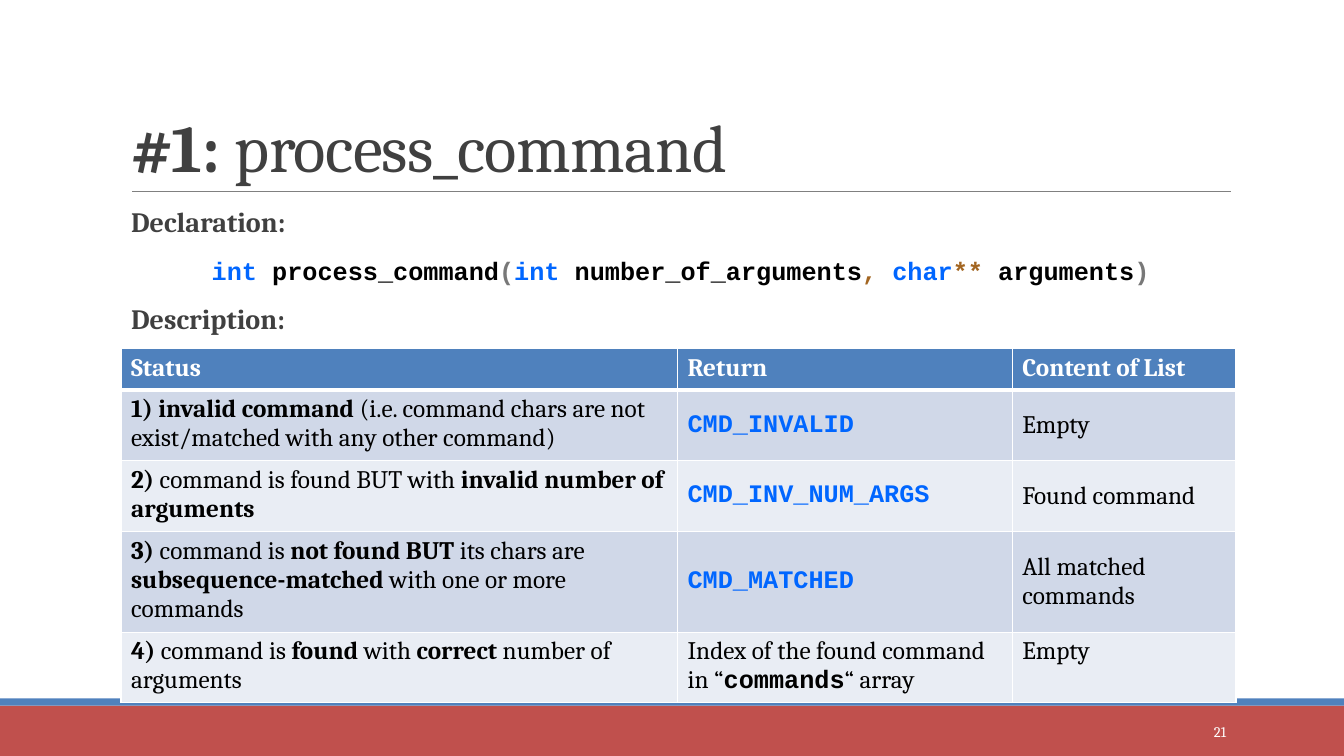
from dataclasses import dataclass

from lxml.etree import SubElement
from pptx import Presentation
from pptx.dml.color import RGBColor
from pptx.enum.shapes import MSO_CONNECTOR, MSO_SHAPE
from pptx.enum.text import MSO_ANCHOR as Anchor, MSO_AUTO_SIZE, PP_ALIGN as Align
from pptx.oxml.ns import qn
from pptx.util import Inches, Pt


@dataclass(frozen=True)
class Theme:
    serif: str = "Cambria"
    mono: str = "Courier New"
    white: str = "FFFFFF"
    black: str = "000000"
    dark: str = "404040"
    rule: str = "808080"
    blue: str = "4F81BD"
    red: str = "C0504D"
    keyword: str = "0066FF"
    operator: str = "A36622"
    bracket: str = "787878"
    bands: tuple = ("D0D8E8", "E9EDF4")
    title_size: float = 48
    label_size: float = 20
    text_size: float = 18
    number_size: float = 10.5


THEME = Theme()

# Run styles: font, colour, bold
HEADING = (THEME.serif, THEME.dark, True)
HEADING_PLAIN = (THEME.serif, THEME.dark, False)
HEADER = (THEME.serif, THEME.white, True)
NUMBER = (THEME.serif, THEME.white, False)
STRONG = (THEME.serif, THEME.black, True)
PLAIN = (THEME.serif, THEME.black, False)
KEYWORD = (THEME.mono, THEME.keyword, True)
NAME = (THEME.mono, THEME.black, True)
OPERATOR = (THEME.mono, THEME.operator, True)
BRACKET = (THEME.mono, THEME.bracket, True)

TITLE = [("#1: ", HEADING), ("process_command", HEADING_PLAIN)]
PAGE_NUMBER = [("21", NUMBER)]

DECLARATION = [
    ("int ", KEYWORD), ("process_command", NAME), ("(", BRACKET),
    ("int ", KEYWORD), ("number_of_arguments", NAME), (", ", OPERATOR),
    ("char", KEYWORD), ("**", OPERATOR), (" arguments", NAME), (")", BRACKET),
]
BODY = [  # runs, size, alignment
    ([("Declaration:", HEADING)], THEME.label_size, Align.LEFT),
    (DECLARATION, THEME.text_size, Align.CENTER),
    ([("Description:", HEADING)], THEME.label_size, Align.LEFT),
]

STATUS_ROWS = [
    [[("Status", HEADER)], [("Return", HEADER)], [("Content of List", HEADER)]],
    [[("1) invalid command ", STRONG),
      ("(i.e. command chars are not exist/matched with any other command)", PLAIN)],
     [("CMD_INVALID", KEYWORD)],
     [("Empty", PLAIN)]],
    [[("2) ", STRONG), ("command is found BUT with ", PLAIN),
      ("invalid number of arguments", STRONG)],
     [("CMD_INV_NUM_ARGS", KEYWORD)],
     [("Found command", PLAIN)]],
    [[("3) ", STRONG), ("command is ", PLAIN), ("not found BUT", STRONG),
      (" its chars are ", PLAIN), ("subsequence-matched ", STRONG),
      ("with one or more commands", PLAIN)],
     [("CMD_MATCHED", KEYWORD)],
     [("All matched commands", PLAIN)]],
    [[("4) ", STRONG), ("command is ", PLAIN), ("found", STRONG),
      (" with ", PLAIN), ("correct", STRONG), (" number of arguments", PLAIN)],
     [("Index of the found command in “", PLAIN), ("commands", NAME),
      ("“ array", PLAIN)],
     [("Empty", PLAIN)]],
]
COLUMN_WIDTHS = (5.52, 3.32, 2.22)
ROW_HEIGHTS = (0.41, 0.67, 0.68, 0.97, 0.68)
LEFT = 1.2


def rgb(color):
    return RGBColor.from_string(color)


def add_runs(paragraph, runs, size):
    for text, (font_name, color, bold) in runs:
        run = paragraph.add_run()
        run.text = text
        run.font.name = font_name
        run.font.size = Pt(size)
        run.font.bold = bold
        run.font.color.rgb = rgb(color)


def place(shape, left, top, width, height):
    shape.left, shape.top = Inches(left), Inches(top)
    shape.width, shape.height = Inches(width), Inches(height)


def add_band(slide, top, height, color):
    band = slide.shapes.add_shape(
        MSO_SHAPE.RECTANGLE, 0, Inches(top), Inches(13.33), Inches(height))
    band.shadow.inherit = False
    band.fill.solid()
    band.fill.fore_color.rgb = rgb(color)
    band.line.fill.background()


def add_title_rule(slide):
    rule = slide.shapes.add_connector(
        MSO_CONNECTOR.STRAIGHT, Inches(1.31), Inches(1.9), Inches(12.21), Inches(1.9))
    rule.line.color.rgb = rgb(THEME.rule)
    rule.line.width = Pt(0.5)
    SubElement(rule.element.spPr, qn("a:effectLst"))


def fill_title(title):
    place(title, LEFT, 0.31, 11, 1.59)
    frame = title.text_frame
    frame.auto_size = MSO_AUTO_SIZE.NONE
    frame.vertical_anchor = Anchor.BOTTOM
    paragraph = frame.paragraphs[0]
    paragraph.alignment = Align.LEFT
    paragraph.line_spacing = 0.85
    add_runs(paragraph, TITLE, THEME.title_size)
    for run in paragraph.runs:
        run.font._element.set("spc", "-50")


def fill_body(body):
    place(body, LEFT, 2.02, 11, 4.91)
    frame = body.text_frame
    frame.auto_size = MSO_AUTO_SIZE.NONE
    frame.margin_left = frame.margin_right = 0
    for index, (runs, size, alignment) in enumerate(BODY):
        paragraph = frame.add_paragraph() if index else frame.paragraphs[0]
        paragraph.alignment = alignment
        paragraph.line_spacing = 0.9
        paragraph.space_before, paragraph.space_after = Pt(12), Pt(2)
        properties = paragraph._p.get_or_add_pPr()
        properties.set("marL", str(Inches(0.1)))
        properties.set("indent", "0")
        SubElement(properties, qn("a:buNone"))
        add_runs(paragraph, runs, size)


def set_borders(cell, bottom_width):
    """Draw white lines on all four sides, before the fill is set."""
    properties = cell._tc.get_or_add_tcPr()
    for side, width in (("L", 1), ("R", 1), ("T", 1), ("B", bottom_width)):
        line = SubElement(properties, qn(f"a:ln{side}"), w=str(Pt(width)))
        SubElement(SubElement(line, qn("a:solidFill")), qn("a:srgbClr"), val=THEME.white)


def add_status_table(slide):
    table = slide.shapes.add_table(
        len(ROW_HEIGHTS), len(COLUMN_WIDTHS), Inches(LEFT), Inches(3.46),
        Inches(sum(COLUMN_WIDTHS)), Inches(sum(ROW_HEIGHTS))).table
    for column, width in zip(table.columns, COLUMN_WIDTHS):
        column.width = Inches(width)
    last = len(STATUS_ROWS) - 1
    for r, status_row in enumerate(STATUS_ROWS):
        table.rows[r].height = Inches(ROW_HEIGHTS[r])
        for c, runs in enumerate(status_row):
            cell = table.cell(r, c)
            set_borders(cell, 1 if r else 3)
            cell.fill.solid()
            cell.fill.fore_color.rgb = rgb(THEME.bands[(r - 1) % 2] if r else THEME.blue)
            centred = c > 0 and 0 < r < last
            cell.vertical_anchor = Anchor.MIDDLE if centred else Anchor.TOP
            add_runs(cell.text_frame.paragraphs[0], runs, THEME.text_size)


def add_page_number(slide):
    frame = slide.shapes.add_textbox(
        Inches(10.83), Inches(7.06), Inches(1.43), Inches(0.4)).text_frame
    frame.word_wrap = True
    frame.vertical_anchor = Anchor.MIDDLE
    frame.paragraphs[0].alignment = Align.RIGHT
    add_runs(frame.paragraphs[0], PAGE_NUMBER, THEME.number_size)


def main():
    deck = Presentation()
    deck.slide_width, deck.slide_height = Inches(13.33), Inches(7.5)
    slide = deck.slides.add_slide(deck.slide_layouts[1])
    add_band(slide, 7, 0.5, THEME.red)
    add_band(slide, 6.93, 0.07, THEME.blue)
    add_title_rule(slide)
    fill_title(slide.shapes.title)
    fill_body(slide.placeholders[1])
    add_page_number(slide)
    add_status_table(slide)
    deck.save("out.pptx")


if __name__ == "__main__":
    main()
